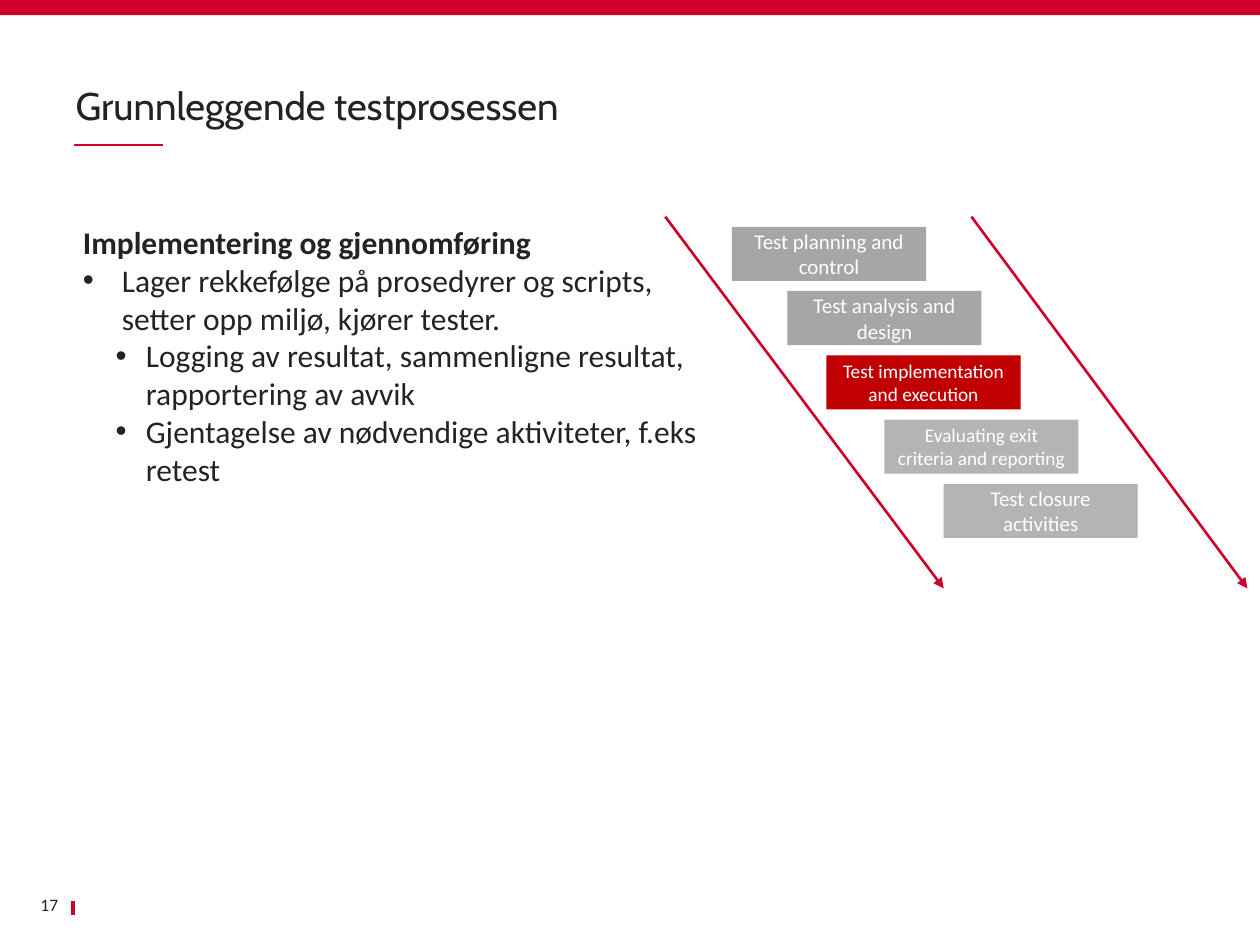
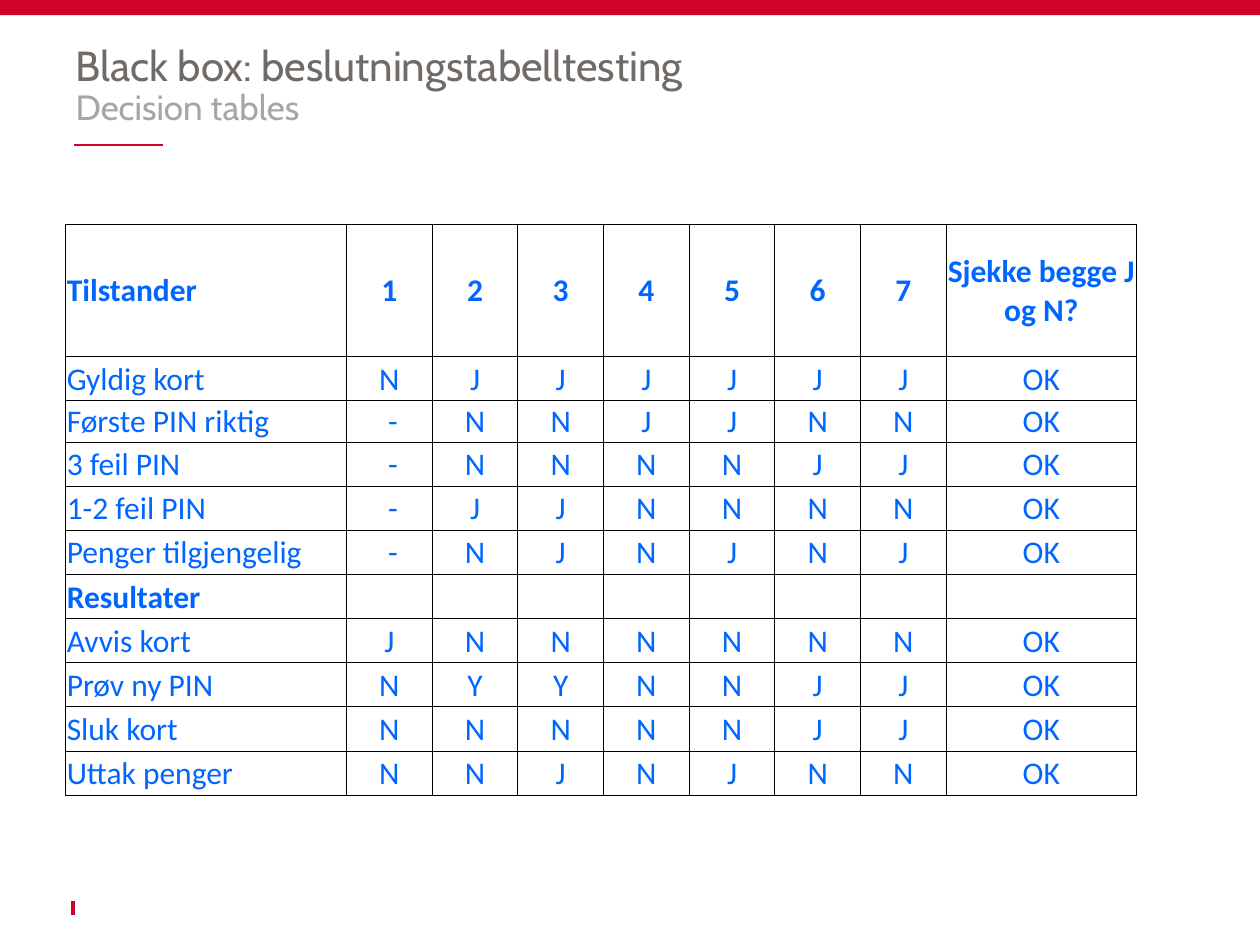
"""Build two slides on software testing: the test process and a decision table."""
import pptx
import pptx.dml.color
import pptx.enum.shapes
import pptx.enum.text
import pptx.oxml
import pptx.oxml.ns
import pptx.util
from lxml import etree


class Theme:
    red = "CF022B"
    active = "C00000"
    ink = "232323"
    heading = "716B68"
    grey = "A6A6A6"
    light_grey = "B4B5B3"
    blue = "0066FF"
    white = "FFFFFF"
    black = "000000"
    title_font = "Cabin"
    body_font = "Calibri"
    title_size = 22
    large_title_size = 24
    subtitle_size = 20
    body_size = 18
    step_size = 12
    small_step_size = 11
    number_size = 10


rgb = pptx.dml.color.RGBColor.from_string
qn = pptx.oxml.ns.qn
align = pptx.enum.text.PP_ALIGN
middle = pptx.enum.text.MSO_ANCHOR.MIDDLE
rectangle = pptx.enum.shapes.MSO_SHAPE.RECTANGLE

deck = pptx.Presentation()
deck.slide_width = pptx.util.Inches(10)
deck.slide_height = pptx.util.Inches(7.5)
column = deck.slide_width / 100
row = deck.slide_height / 75


def grid(*lengths):
    """Turn alternating column and row counts into slide lengths."""
    return [round(length * (row if index % 2 else column)) for index, length in enumerate(lengths)]


def draw_line(page, ends, weight, arrow=False):
    """Draw a red line between two grid points."""
    line = page.shapes.add_connector(pptx.enum.shapes.MSO_CONNECTOR.STRAIGHT, *grid(*ends))
    line.line.color.rgb = rgb(Theme.red)
    line.line.width = pptx.util.Pt(weight)
    if arrow:
        etree.SubElement(line.line._get_or_add_ln(), qn("a:tailEnd"), type="triangle")
    etree.SubElement(line._element.spPr, qn("a:effectLst"))


titles = [
    [("Grunnleggende testprosessen", Theme.title_size, Theme.ink)],
    [
        ("Black box: beslutningstabelltesting", Theme.large_title_size, Theme.heading),
        ("Decision tables", Theme.subtitle_size, Theme.grey),
    ],
]
for title in titles:
    page = deck.slides.add_slide(deck.slide_layouts[6])
    draw_line(page, (5.8, 71.5, 5.8, 72.6), 2.25)
    draw_line(page, (5.9, 11.5, 12.9, 11.5), 1)
    band = page.shapes.add_shape(rectangle, *grid(0, 0, 100, 1.2))
    band.shadow.inherit = False
    band.fill.solid()
    band.fill.fore_color.rgb = rgb(Theme.red)
    band.line.fill.background()

    box = page.shapes.add_textbox(*grid(6, 2.1, 88, 8.6))
    frame = box.text_frame
    frame.word_wrap = True
    frame.vertical_anchor = pptx.enum.text.MSO_ANCHOR.BOTTOM
    frame.margin_left = frame.margin_right = 0
    para = frame.paragraphs[0]
    para.line_spacing = 0.9
    para.font.name = Theme.title_font
    for index, (text, size, color) in enumerate(title):
        if index:
            para.add_line_break()
        span = para.add_run()
        span.text = text
        span.font.name = Theme.title_font
        span.font.size = pptx.util.Pt(size)
        span.font.color.rgb = rgb(color)

process_page, table_page = deck.slides

box = process_page.shapes.add_textbox(*grid(2, 70.6, 3.6, 2.4))
box.text_frame.word_wrap = True
box.text_frame.vertical_anchor = middle
para = box.text_frame.paragraphs[0]
para.text = "17"
para.alignment = align.RIGHT
para.font.name = Theme.body_font
para.font.size = pptx.util.Pt(Theme.number_size)
para.font.color.rgb = rgb(Theme.ink)

points = [
    ("Implementering og gjennomføring", 0, 0),
    ("Lager rekkefølge på prosedyrer og scripts, setter opp miljø, kjører tester.", 3.1, 3.1),
    ("Logging av resultat, sammenligne resultat, rapportering av avvik", 5, 2.4),
    ("Gjentagelse av nødvendige aktiviteter, f.eks retest", 5, 2.4),
]
box = process_page.shapes.add_textbox(*grid(5.6, 17.2, 53.3, 22.2))
frame = box.text_frame
frame.word_wrap = True
for index, (text, margin, hanging) in enumerate(points):
    para = frame.add_paragraph() if index else frame.paragraphs[0]
    para.text = text
    if hanging:
        properties = para._p.get_or_add_pPr()
        properties.set("marL", str(round(margin * column)))
        properties.set("indent", str(round(-hanging * column)))
        etree.SubElement(properties, qn("a:buFont"), typeface="Arial")
        etree.SubElement(properties, qn("a:buChar"), char="•")
    para.font.name = Theme.body_font
    para.font.size = pptx.util.Pt(Theme.body_size)
    para.font.bold = not hanging
    para.font.color.rgb = rgb(Theme.ink)

steps = [
    ("Test planning and control", 58.1, Theme.grey, Theme.step_size),
    ("Test analysis and design", 62.5, Theme.grey, Theme.step_size),
    ("Test implementation and execution", 65.6, Theme.active, Theme.small_step_size),
    ("Evaluating exit criteria and reporting", 70.2, Theme.light_grey, Theme.small_step_size),
    ("Test closure activities", 74.9, Theme.light_grey, Theme.step_size),
]
for index, (text, left, color, size) in enumerate(steps):
    step = process_page.shapes.add_shape(rectangle, *grid(left, 18 + 5.1 * index, 15.4, 4.3))
    step.shadow.inherit = False
    step.fill.solid()
    step.fill.fore_color.rgb = rgb(color)
    step.line.fill.background()
    step.text_frame.word_wrap = True
    step.text_frame.vertical_anchor = middle
    para = step.text_frame.paragraphs[0]
    para.text = text
    para.alignment = align.CENTER
    para.font.name = Theme.body_font
    para.font.size = pptx.util.Pt(size)
    para.font.color.rgb = rgb(Theme.white)

for start, end in [(52.8, 74.9), (77.1, 99)]:
    draw_line(process_page, (start, 17.2, end, 46.7), 1.5, arrow=True)

decisions = [
    ("Tilstander", *"1234567", "Sjekke begge J og N?"),
    ("Gyldig kort", *"NJJJJJJ", "OK"),
    ("Første PIN riktig", " -", *"NNJJNN", "OK"),
    ("3 feil PIN", " -", *"NNNNJJ", "OK"),
    ("1-2 feil PIN", " -", *"JJNNNN", "OK"),
    ("Penger tilgjengelig", " -", *"NJNJNJ", "OK"),
    ("Resultater", *[""] * 8),
    ("Avvis kort", *"JNNNNNN", "OK"),
    ("Prøv ny PIN", *"NYYNNJJ", "OK"),
    ("Sluk kort", *"NNNNNJJ", "OK"),
    ("Uttak penger", *"NNJNJNN", "OK"),
]
column_spans = [22.3] + [6.8] * 7 + [15.1]
row_spans = [10.5, 3.5, 3.3] + [3.5] * 8
frame = table_page.shapes.add_table(
    len(row_spans), len(column_spans), *grid(5.2, 17.8, sum(column_spans), sum(row_spans))
)
table = frame.table
table.first_row = table.horz_banding = False
for index, width in enumerate(column_spans):
    table.columns[index].width = round(width * column)
for index, height in enumerate(row_spans):
    table.rows[index].height = round(height * row)

for row_index, values in enumerate(decisions):
    for column_index, text in enumerate(values):
        cell = table.cell(row_index, column_index)
        cell.vertical_anchor = middle
        cell.margin_left = cell.margin_right = cell.margin_top = pptx.util.Inches(0.01)
        cell.margin_bottom = 0
        cell.fill.solid()
        cell.fill.fore_color.rgb = rgb(Theme.white)
        for position, side in enumerate("LRTB"):
            border = pptx.oxml.parse_xml(
                f'<a:ln{side} {pptx.oxml.ns.nsdecls("a")} w="{pptx.util.Pt(0.5)}">'
                f'<a:solidFill><a:srgbClr val="{Theme.black}"/></a:solidFill></a:ln{side}>'
            )
            cell._tc.get_or_add_tcPr().insert(position, border)
        para = cell.text_frame.paragraphs[0]
        para.text = text
        para.alignment = align.CENTER if column_index else align.LEFT
        para.font.name = Theme.body_font
        para.font.size = pptx.util.Pt(Theme.body_size)
        para.font.bold = row_index == 0 or values[0] == "Resultater"
        para.font.color.rgb = rgb(Theme.blue)

deck.save("out.pptx")
